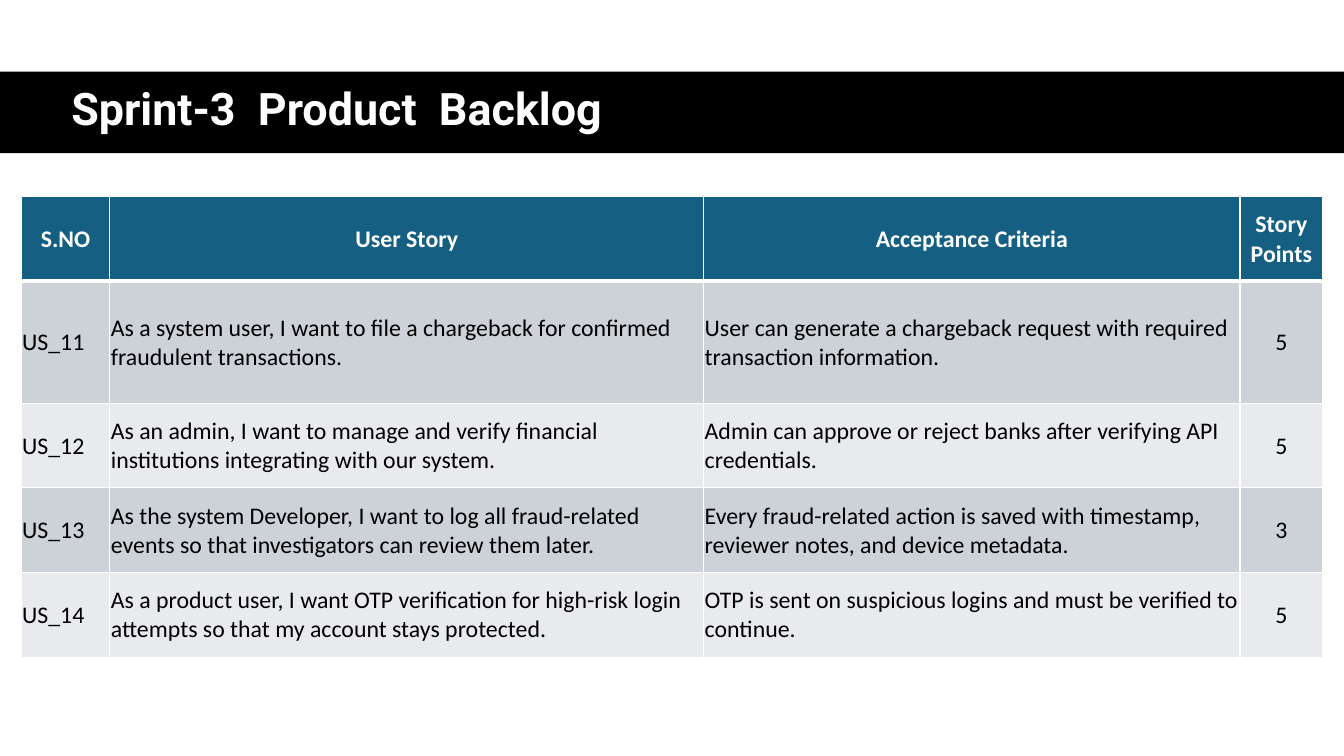
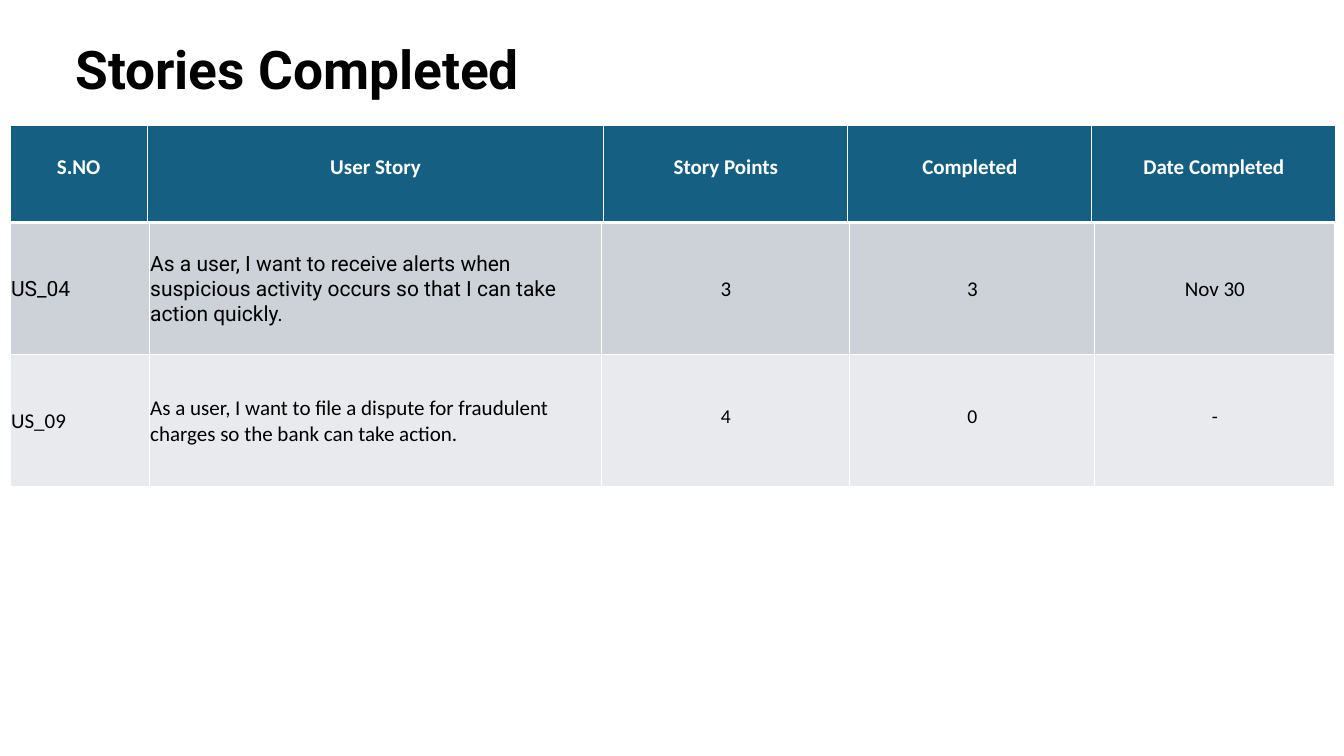
from dataclasses import dataclass, replace

from lxml import etree
from pptx import Presentation
from pptx.dml.color import RGBColor
from pptx.enum.shapes import MSO_SHAPE
from pptx.enum.text import MSO_ANCHOR, PP_ALIGN
from pptx.oxml.ns import qn
from pptx.util import Inches, Pt

RECTANGLE = MSO_SHAPE.RECTANGLE
MIDDLE = MSO_ANCHOR.MIDDLE
LEFT, CENTER = PP_ALIGN.LEFT, PP_ALIGN.CENTER

BLACK = RGBColor(0x00, 0x00, 0x00)
WHITE = RGBColor(0xFF, 0xFF, 0xFF)
TEAL = RGBColor(0x15, 0x60, 0x82)
GREY = RGBColor(0xCC, 0xD2, 0xD8)
PALE = RGBColor(0xE8, 0xEA, 0xED)

TITLE_FONT, BODY_FONT = "Roboto", "Calibri"
SLIDE_WIDTH, SLIDE_HEIGHT = 13.33, 7.5


@dataclass(frozen=True)
class Look:
    fill: RGBColor
    size: float
    align: int = LEFT
    font: str = BODY_FONT
    color: RGBColor = BLACK
    bold: bool = False
    spacing: float = 1.0
    inset_bottom: float = 0


@dataclass(frozen=True)
class Row:
    height: float
    looks: list
    texts: tuple
    top_line: float
    bottom_line: float


BACKLOG_TITLE = "Sprint-3  Product  Backlog"
BACKLOG_COLUMNS = (0.88, 5.89, 5.32, 0.82)
BACKLOG_HEADINGS = ("S.NO", "User Story", "Acceptance Criteria", "Story Points")
BACKLOG = [
    ("US_11",
     "As a system user, I want to file a chargeback for confirmed fraudulent transactions.",
     "User can generate a chargeback request with required transaction information.", "5"),
    ("US_12",
     "As an admin, I want to manage and verify financial institutions integrating with our system.",
     "Admin can approve or reject banks after verifying API credentials.", "5"),
    ("US_13",
     "As the system Developer, I want to log all fraud-related events so that investigators can review them later.",
     "Every fraud-related action is saved with timestamp, reviewer notes, and device metadata.", "3"),
    ("US_14",
     "As a product user, I want OTP verification for high-risk login attempts so that my account stays protected.",
     "OTP is sent on suspicious logins and must be verified to continue.", "5"),
]

COMPLETED_TITLE = "Stories Completed"
COMPLETED_HEADING_COLUMNS = (1.36, 4.53, 2.42, 2.42, 2.42)
COMPLETED_COLUMNS = (1.38, 4.49, 2.46, 2.43, 2.38)
COMPLETED_HEADINGS = ("S.NO", "User Story", "Story Points", "Completed", "Date Completed")
COMPLETED = [
    ("US_04",
     "As a user, I want to receive alerts when suspicious activity occurs so that I can take action quickly.",
     "3", "3", "Nov 30"),
    ("US_09",
     "As a user, I want to file a dispute for fraudulent charges so the bank can take action.",
     "4", "0", "-"),
]


def add_title(slide, text, box, size, color):
    title = slide.shapes.add_textbox(*map(Inches, box))
    frame = title.text_frame
    frame.word_wrap = True
    frame.vertical_anchor = MIDDLE
    frame.text = text
    paragraph = frame.paragraphs[0]
    paragraph.line_spacing = 0.9
    style_font(paragraph.font, TITLE_FONT, size, color, True)


def style_font(font, name, size, color, bold):
    font.name, font.size, font.bold = name, Pt(size), bold
    font.color.rgb = color


def add_borders(cell, side_line, top_line, bottom_line):
    properties = cell._tc.get_or_add_tcPr()
    for side, width in (("L", side_line), ("R", side_line), ("T", top_line), ("B", bottom_line)):
        line = etree.SubElement(properties, qn(f"a:ln{side}"), w=str(Pt(width)))
        paint = etree.SubElement(line, qn("a:solidFill"))
        etree.SubElement(paint, qn("a:srgbClr"), val=str(WHITE))


def fill_cell(cell, text, look):
    cell.fill.solid()
    cell.fill.fore_color.rgb = look.fill
    cell.vertical_anchor = MIDDLE
    cell.margin_left = cell.margin_right = cell.margin_top = Inches(0.01)
    cell.margin_bottom = Inches(look.inset_bottom)
    cell.text_frame.text = text
    paragraph = cell.text_frame.paragraphs[0]
    paragraph.alignment = look.align
    paragraph.line_spacing = look.spacing
    style_font(paragraph.runs[0].font, look.font, look.size, look.color, look.bold)


def add_story_table(slide, left, top, columns, rows, side_line):
    size = (sum(columns), sum(row.height for row in rows))
    table = slide.shapes.add_table(
        len(rows), len(columns), *map(Inches, (left, top, *size))).table
    table.first_row = table.horz_banding = False
    for column, width in zip(table.columns, columns):
        column.width = Inches(width)
    for table_row, row in zip(table.rows, rows):
        table_row.height = Inches(row.height)
        for cell, text, look in zip(table_row.cells, row.texts, row.looks):
            add_borders(cell, side_line, row.top_line, row.bottom_line)
            fill_cell(cell, text, look)


def build_backlog(slide):
    band = slide.shapes.add_shape(
        RECTANGLE, 0, Inches(0.71), Inches(SLIDE_WIDTH), Inches(0.81))
    band.shadow.inherit = False
    band.fill.solid()
    band.fill.fore_color.rgb = BLACK
    band.line.fill.background()
    add_title(slide, BACKLOG_TITLE, (0.61, 0.7, 12.26, 0.81), 32, WHITE)

    heading = Look(TEAL, 17, CENTER, color=WHITE, bold=True)
    rows = [Row(0.84, [heading] * 4, BACKLOG_HEADINGS, 1, 3)]
    for index, story in enumerate(BACKLOG):
        wording = Look(PALE if index % 2 else GREY, 17)
        looks = [wording] * 3 + [replace(wording, align=CENTER)]
        height = 0.84 if index else 1.21
        rows.append(Row(height, looks, story, rows[-1].bottom_line, 1))
    add_story_table(slide, 0.21, 1.95, BACKLOG_COLUMNS, rows, 1)


def build_completed(slide):
    add_title(slide, COMPLETED_TITLE, (0.65, -0.01, 11.5, 1.45), 38, BLACK)

    alert = Look(GREY, 15, font=TITLE_FONT)
    alert_figure = replace(alert, font=BODY_FONT, align=CENTER)
    dispute = Look(PALE, 15)
    dispute_figure = replace(
        dispute, size=14, align=CENTER, spacing=Pt(13.5), inset_bottom=0.05)
    heading = Look(TEAL, 15, CENTER, color=WHITE, bold=True,
                   spacing=Pt(12), inset_bottom=0.05)

    looks = ([alert] * 2 + [alert_figure] * 3, [dispute] * 2 + [dispute_figure] * 3)
    stories = [Row(1.31, row_looks, story, top_line, 0.79)
               for row_looks, story, top_line in zip(looks, COMPLETED, (2.38, 0.79))]
    headings = [Row(0.97, [heading] * 5, COMPLETED_HEADINGS, 0.75, 2.03)]
    heading_top = 1.24
    stories_top = heading_top + headings[0].height
    add_story_table(slide, 0.1, stories_top, COMPLETED_COLUMNS, stories, 0.79)
    add_story_table(slide, 0.1, heading_top, COMPLETED_HEADING_COLUMNS, headings, 0.75)


def main():
    deck = Presentation()
    deck.slide_width, deck.slide_height = Inches(SLIDE_WIDTH), Inches(SLIDE_HEIGHT)
    blank = deck.slide_layouts[6]
    for build in (build_backlog, build_completed):
        build(deck.slides.add_slide(blank))
    deck.save("out.pptx")


if __name__ == "__main__":
    main()
